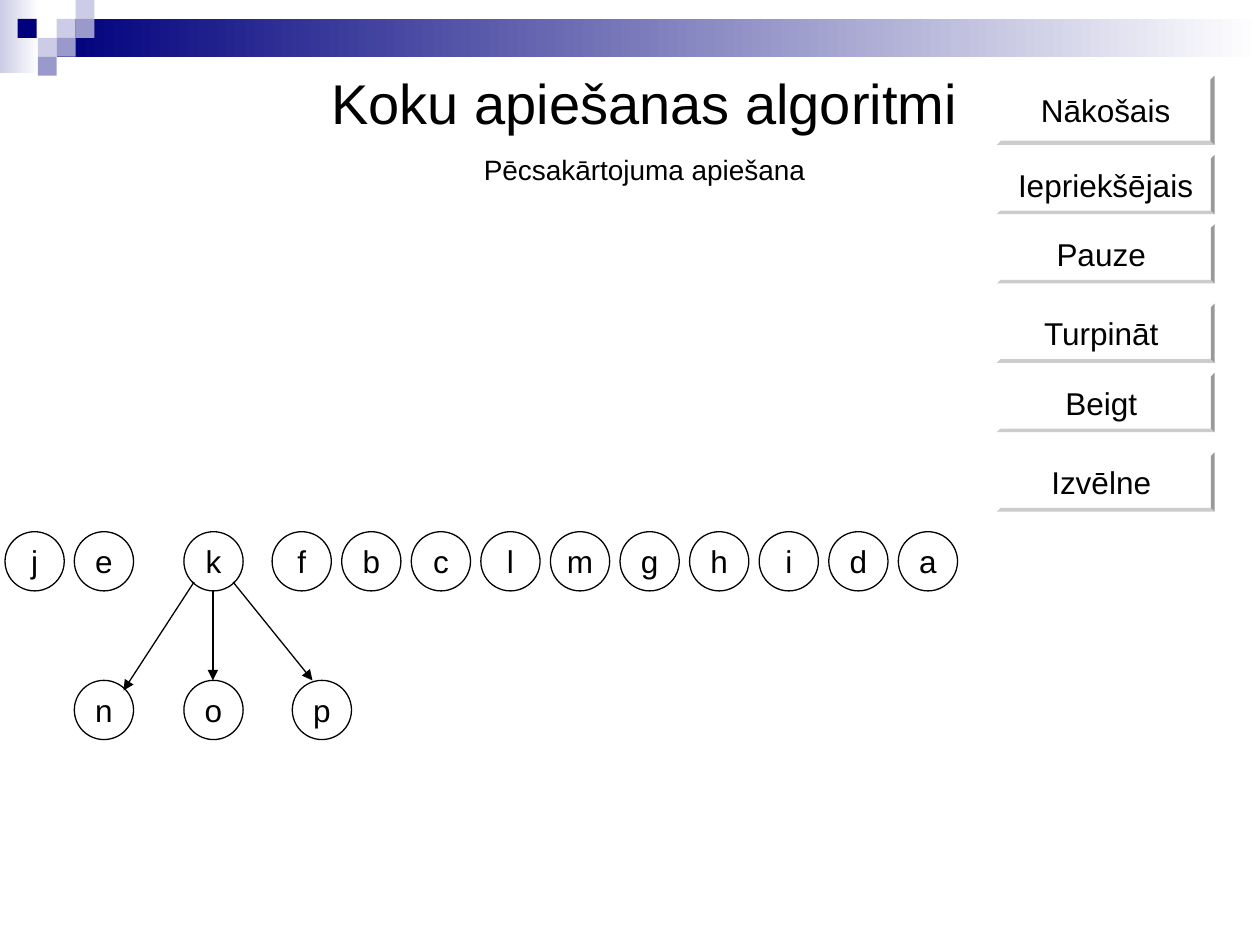
from lxml import etree
from pptx import Presentation
from pptx.dml.color import RGBColor
from pptx.enum.shapes import MSO_CONNECTOR, MSO_SHAPE
from pptx.enum.text import MSO_ANCHOR, MSO_AUTO_SIZE, PP_ALIGN
from pptx.oxml.ns import qn
from pptx.util import Inches, Pt

RECTANGLE, ELLIPSE, BEVEL = MSO_SHAPE.RECTANGLE, MSO_SHAPE.OVAL, MSO_SHAPE.BEVEL
STRAIGHT = MSO_CONNECTOR.STRAIGHT
CENTER, TOP, MIDDLE = PP_ALIGN.CENTER, MSO_ANCHOR.TOP, MSO_ANCHOR.MIDDLE
NO_RESIZE = MSO_AUTO_SIZE.NONE
TITLE_ONLY = 5

BLACK, WHITE = "000000", "FFFFFF"
NAVY, LAVENDER, VIOLET = "00007D", "CCCCE6", "9999CC"


def color(value):
    return RGBColor.from_string(value)


class SlideBuilder:
    font = "Arial"
    label_size = 18
    line_width = 0.75
    node_size = 0.47

    def __init__(self, slide):
        self.slide = slide

    def format_paragraph(self, para, size):
        para.alignment = CENTER
        for span in para.runs:
            span.font.name = self.font
            span.font.size = Pt(size)
            span.font.color.rgb = color(BLACK)

    def title(self, lines, sizes, gap, left, top, width, height):
        box = self.slide.shapes.title
        box.left, box.top = Inches(left), Inches(top)
        box.width, box.height = Inches(width), Inches(height)
        frame = box.text_frame
        frame.text = "\n".join(lines)
        frame.auto_size = NO_RESIZE
        frame.vertical_anchor = TOP
        frame.margin_top = Inches(0.1)
        for para, size in zip(frame.paragraphs, sizes):
            self.format_paragraph(para, size)
        frame.paragraphs[-1].space_before = Pt(gap)

    def shape(self, kind, left, top, width, height, fill):
        shape = self.slide.shapes.add_shape(
            kind, Inches(left), Inches(top), Inches(width), Inches(height))
        shape.shadow.inherit = False
        shape.line.fill.background()
        shape.fill.solid()
        shape.fill.fore_color.rgb = color(fill)
        return shape

    def gradient(self, left, top, width, height, start):
        """Rectangle fading from the start colour to white, left to right."""
        fill = self.shape(RECTANGLE, left, top, width, height, WHITE).fill
        fill.gradient()
        fill.gradient_angle = 0
        for stop, value in zip(fill.gradient_stops, (start, WHITE)):
            stop.color.rgb = color(value)

    def label(self, shape, text):
        frame = shape.text_frame
        frame.text = text
        frame.word_wrap = False
        frame.vertical_anchor = MIDDLE
        self.format_paragraph(frame.paragraphs[0], self.label_size)

    def button(self, text, left, top, width, height):
        shape = self.shape(BEVEL, left, top, width, height, WHITE)
        shape.adjustments[0] = 0.06
        self.label(shape, text)

    def node(self, text, left, top):
        shape = self.shape(ELLIPSE, left, top, self.node_size, self.node_size, WHITE)
        shape.line.color.rgb = color(BLACK)
        shape.line.width = Pt(self.line_width)
        self.label(shape, text)

    def arrow(self, x1, y1, x2, y2):
        line = self.slide.shapes.add_connector(
            STRAIGHT, Inches(x1), Inches(y1), Inches(x2), Inches(y2))
        line.line.color.rgb = color(BLACK)
        line.line.width = Pt(self.line_width)
        etree.SubElement(line.line._get_or_add_ln(), qn("a:tailEnd"), type="triangle")
        etree.SubElement(line._element.spPr, qn("a:effectLst"))


def main():
    deck = Presentation()
    deck.slide_width, deck.slide_height = Inches(10), Inches(7.5)
    page = SlideBuilder(deck.slides.add_slide(deck.slide_layouts[TITLE_ONLY]))

    # Header band and squares
    page.gradient(0, 0, 0.31, 0.58, LAVENDER)
    page.gradient(0.45, 0.15, 9.55, 0.3, NAVY)
    square = 0.15
    for left, top, fill in [
        (0.45, 0.15, LAVENDER), (0.6, 0, LAVENDER), (0.6, 0.15, VIOLET),
        (0.3, 0.3, LAVENDER), (0.14, 0.15, NAVY), (0.45, 0.3, VIOLET),
        (0.3, 0.45, VIOLET),
    ]:
        page.shape(RECTANGLE, left, top, square, square, fill)

    # Title and subtitle
    page.title(["Koku apiešanas algoritmi", "Pēcsakārtojuma apiešana"],
               [32, 16], 10, 1.77, 0.44, 6.69, 1.04)

    # Navigation buttons
    for text, top, height in [
        ("Nākošais", 0.6, 0.55), ("Iepriekšējais", 1.23, 0.47),
        ("Pauze ", 1.78, 0.47), ("Turpināt ", 2.41, 0.47),
        ("Beigt ", 2.96, 0.47), ("Izvēlne ", 3.59, 0.47),
    ]:
        page.button(text, 7.91, top, 1.73, height)

    # Visited nodes in a row, with the current subtree below
    row_top, child_top = 4.22, 5.4
    for text, left in [("j", 0.04), ("e", 0.59), ("k", 1.46)]:
        page.node(text, left, row_top)
    first, last, letters = 2.16, 7.13, "fbclmghida"
    step = (last - first) / (len(letters) - 1)
    for index, text in enumerate(letters):
        page.node(text, first + index * step, row_top)
    for text, left in [("n", 0.59), ("o", 1.46), ("p", 2.32)]:
        page.node(text, left, child_top)

    # Arrows from k to its children
    page.arrow(1.54, 4.62, 0.98, 5.48)
    page.arrow(1.69, row_top + page.node_size, 1.69, child_top)
    page.arrow(1.85, 4.62, 2.48, child_top)

    deck.save("out.pptx")


if __name__ == "__main__":
    main()
